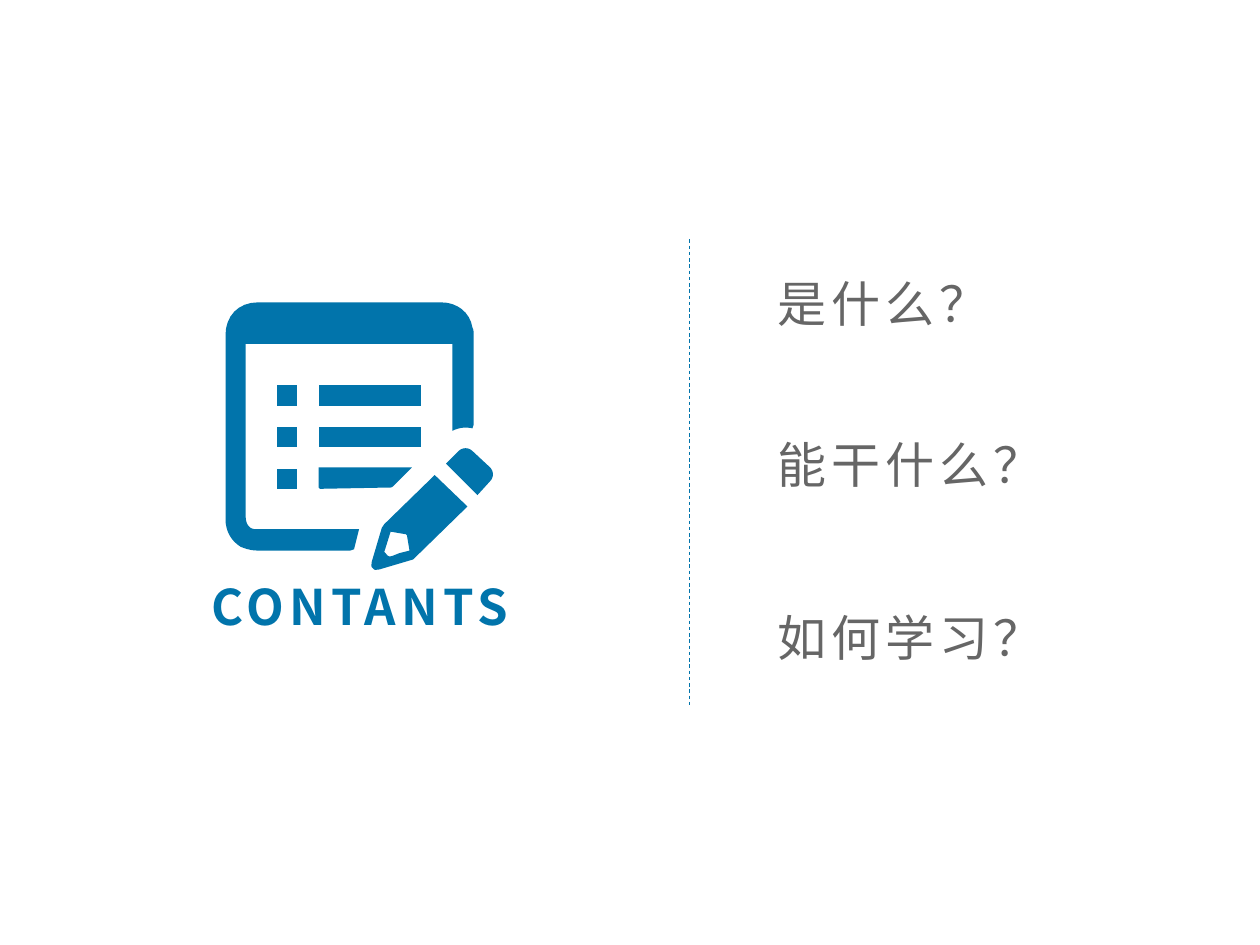
import pptx
import pptx.util
import pptx.dml.color
import pptx.enum.dml
import pptx.enum.shapes
import pptx.enum.text
import pptx.oxml
import pptx.oxml.ns
import lxml.etree

# The slide is a grid of 1000 columns by 750 rows of square cells
CELL = pptx.util.Inches(0.01)
COLORS = {"blue": "0174AB", "grey": "666666"}
FONT = "Noto Sans CJK SC"
CURVE_STEPS = 8


def color(name):
    return pptx.dml.color.RGBColor.from_string(COLORS[name])


def flatten(outline):
    """Turn points (x, y) and curves (x1, y1, x2, y2, x, y) into points."""
    points = []
    for step in outline:
        if len(step) == 2:
            points.append(step)
            continue
        corners = [points[-1], step[:2], step[2:4], step[4:]]
        for i in range(1, CURVE_STEPS + 1):
            t = i / CURVE_STEPS
            weights = ((1 - t) ** 3, 3 * t * (1 - t) ** 2,
                       3 * t ** 2 * (1 - t), t ** 3)
            points.append(tuple(sum(w * c[axis] for w, c in zip(weights, corners))
                                for axis in (0, 1)))
    return points


def add_outline(icon, *contours):
    first, *holes = [[(x * CELL, y * CELL) for x, y in flatten(c)] for c in contours]
    pen = icon.shapes.build_freeform(*first[0], scale=1.0)
    pen.add_line_segments(first[1:], close=True)
    for hole in holes:
        pen.move_to(*hole[0])
        pen.add_line_segments(hole[1:], close=True)
    part = pen.convert_to_shape()
    part.shadow.inherit = False
    part.fill.solid()
    part.fill.fore_color.rgb = color("blue")
    part.line.fill.background()


def add_bar(icon, left, top, width, height=16):
    right, bottom = left + width, top + height
    add_outline(icon, [(left, top), (right, top), (right, bottom), (left, bottom)])


def add_label(slide, text, left, top, width, ink, bold=False, centred=False):
    label = slide.shapes.add_textbox(left * CELL, top * CELL, width * CELL, 57 * CELL)
    frame = label.text_frame
    frame.word_wrap = False
    frame.auto_size = pptx.enum.text.MSO_AUTO_SIZE.SHAPE_TO_FIT_TEXT
    line = frame.paragraphs[0]
    if centred:
        line.alignment = pptx.enum.text.PP_ALIGN.CENTER
    words = line.add_run()
    words.text = text
    words.font.size = pptx.util.Pt(28)
    words.font.bold = bold
    words.font.name = FONT
    words.font.color.rgb = color(ink)
    # Letter spacing and the East Asian font
    properties = words.font._element
    properties.set("spc", "300")
    lxml.etree.SubElement(properties, pptx.oxml.ns.qn("a:ea")).set("typeface", FONT)


def add_divider(slide, x, top, bottom):
    divider = slide.shapes.add_connector(
        pptx.enum.shapes.MSO_CONNECTOR.STRAIGHT,
        x * CELL, top * CELL, x * CELL, bottom * CELL)
    divider.line.color.rgb = color("blue")
    divider.line.width = pptx.util.Pt(0.5)
    divider.line.dash_style = pptx.enum.dml.MSO_LINE.DASH
    lxml.etree.SubElement(divider._element.spPr, pptx.oxml.ns.qn("a:effectLst"))


def add_notepad_icon(slide):
    icon = slide.shapes.add_group_shape()
    # Page frame, open at the lower right for the pencil
    add_outline(icon, [
        (285, 420), (281, 436), (278, 437), (205, 437),
        (200, 437, 196, 436, 191, 434), (183, 429, 179, 421, 179, 412),
        (179, 266), (179, 251, 189, 240, 205, 240), (350, 240),
        (363, 240, 373, 248, 375, 260), (376, 262, 376, 264, 376, 266),
        (376, 337), (375, 340), (370, 339, 365, 339, 359, 342),
        (359, 273), (195, 273), (195, 410), (195, 416, 198, 421, 205, 420)])
    # Pencil body, with its tip cut out
    add_outline(
        icon,
        [(345, 377), (371, 402), (331, 441), (328, 444), (301, 452),
         (299, 452, 297, 453, 296, 451), (294, 450, 295, 448, 295, 446),
         (303, 419), (305, 416)],
        [(310, 422), (305, 438), (306, 439), (308, 442, 309, 442, 312, 441),
         (317, 439), (325, 437), (323, 425), (322, 424)])
    # Pencil eraser
    add_outline(icon, [
        (354, 368), (364, 358), (367, 355, 372, 355, 375, 358), (389, 371),
        (392, 374, 392, 379, 389, 382), (379, 393)])
    # List rows; the pencil cuts the last one short
    for top in (306, 339):
        add_bar(icon, 253, top, 81)
    add_outline(icon, [(253, 371), (327, 371), (312, 386),
                       (311, 387, 310, 387, 309, 387), (254, 388), (253, 387)])
    for row in range(3):
        add_bar(icon, 220, 306 + 33 * row, 16)


def main():
    deck = pptx.Presentation()
    deck.slide_width, deck.slide_height = 1000 * CELL, 750 * CELL
    slide = deck.slides.add_slide(deck.slide_layouts[6])

    add_divider(slide, 547, 190, 560)
    # Questions
    for top, question in ((212, "是什么？"), (340, "能干什么？"), (477, "如何学习？")):
        add_label(slide, question, 607, top, 196, "grey")
    # Icon and its caption
    add_notepad_icon(slide)
    add_label(slide, "CONTANTS", 140, 453, 291, "blue", bold=True, centred=True)

    deck.save("out.pptx")


if __name__ == "__main__":
    main()
